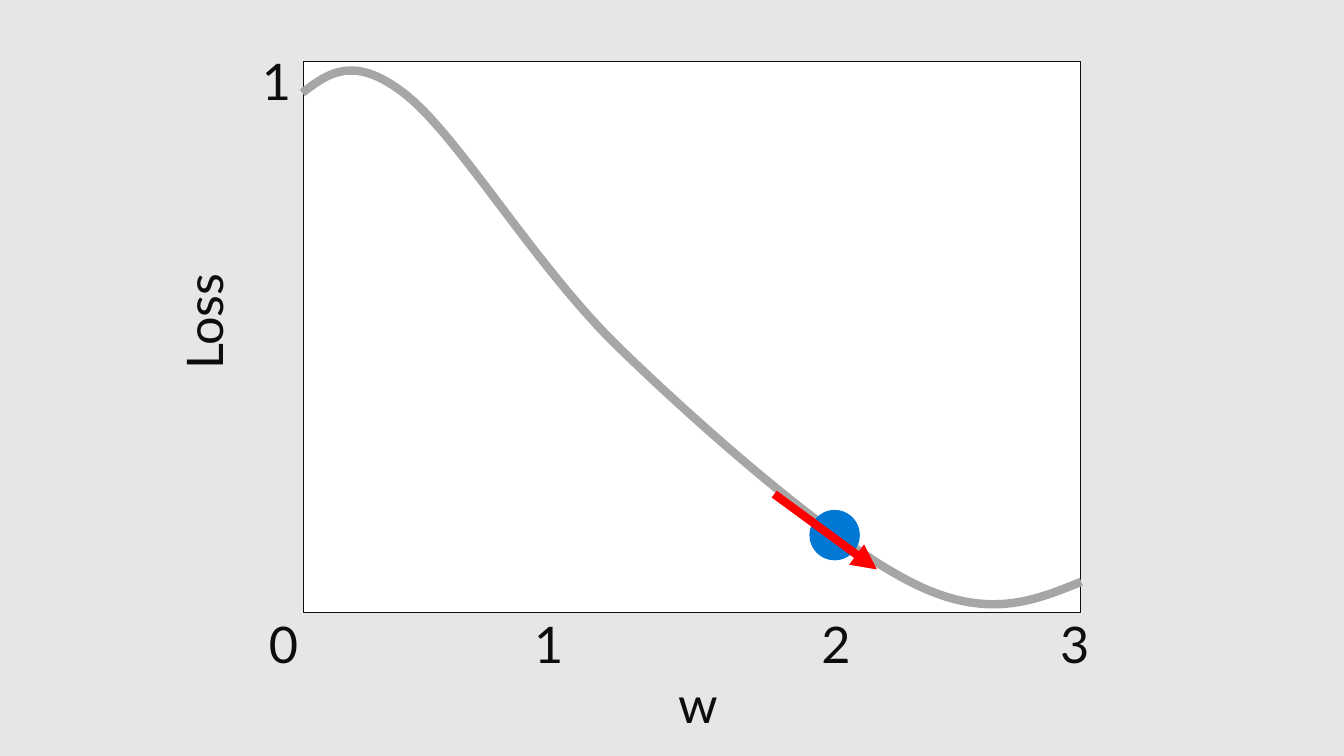
from dataclasses import dataclass
from lxml.etree import SubElement
from pptx import Presentation
from pptx.dml.color import RGBColor
from pptx.enum.shapes import MSO_CONNECTOR as Connector, MSO_SHAPE as Preset
from pptx.enum.text import MSO_AUTO_SIZE as AutoSize
from pptx.oxml.ns import qn
from pptx.util import Cm, Pt


@dataclass(frozen=True)
class Theme:
    background: str = "E6E6E6"
    plot: str = "FFFFFF"
    ink: str = "0D0D0D"
    curve: str = "A6A6A6"
    point: str = "0078D4"
    gradient: str = "FF0000"
    font: str = "Lato"
    label_size: float = 36
    frame_width: float = 0.85
    stroke_width: float = 6


def color(value):
    return RGBColor.from_string(value)


def bezier(start, first, second, end, steps=24):
    for step in range(1, steps + 1):
        t = step / steps
        u = 1 - t
        yield tuple(
            u**3 * a + 3 * u * u * t * b + 3 * u * t * t * c + t**3 * d
            for a, b, c, d in zip(start, first, second, end)
        )


class SlideBuilder:
    def __init__(self, slide, theme):
        self.slide = slide
        self.shapes = slide.shapes
        self.theme = theme
        fill = slide.background.fill
        fill.solid()
        fill.fore_color.rgb = color(theme.background)

    def stroke(self, line, value, width):
        line.color.rgb = color(value)
        line.width = Pt(width)

    def preset(self, kind, left, top, width, height, fill, outline=None):
        shape = self.shapes.add_shape(kind, Cm(left), Cm(top), Cm(width), Cm(height))
        shape.shadow.inherit = False
        shape.fill.solid()
        shape.fill.fore_color.rgb = color(fill)
        if outline:
            self.stroke(shape.line, outline, self.theme.frame_width)
        else:
            shape.line.fill.background()

    def curve(self, knots):
        points = [
            point
            for index in range(0, len(knots) - 1, 3)
            for point in bezier(*knots[index:index + 4])
        ]
        builder = self.shapes.build_freeform(*map(Cm, knots[0]))
        builder.add_line_segments([(Cm(x), Cm(y)) for x, y in points], close=False)
        shape = builder.convert_to_shape()
        shape.shadow.inherit = False
        shape.fill.background()
        self.stroke(shape.line, self.theme.curve, self.theme.stroke_width)

    def label(self, text, left, top, width=0.69, rotation=0):
        box = self.shapes.add_textbox(Cm(left), Cm(top), Cm(width), Cm(1.55))
        box.rotation = rotation
        frame = box.text_frame
        frame.margin_left = frame.margin_right = 0
        frame.margin_top = frame.margin_bottom = 0
        frame.word_wrap = False
        frame.auto_size = AutoSize.SHAPE_TO_FIT_TEXT
        frame.text = text
        font = frame.paragraphs[0].runs[0].font
        font.name = self.theme.font
        font.size = Pt(self.theme.label_size)
        font.color.rgb = color(self.theme.ink)

    def arrow(self, start, end):
        connector = self.shapes.add_connector(
            Connector.STRAIGHT, *map(Cm, start), *map(Cm, end)
        )
        self.stroke(connector.line, self.theme.gradient, self.theme.stroke_width)
        properties = connector._element.spPr
        SubElement(properties.find(qn("a:ln")), qn("a:tailEnd"), type="triangle")
        SubElement(properties, qn("a:effectLst"))


LOSS_KNOTS = [
    (7.62, 2.34), (8.28, 1.83), (8.94, 1.35),
    (10.26, 2.41), (11.61, 3.51), (13.49, 6.71),
    (15.6, 8.76), (17.7, 10.8), (20.98, 13.67),
    (22.94, 14.66), (24.87, 15.65), (26.06, 15.14),
    (27.25, 14.66),
]
WEIGHT_TICKS = {"0": 6.78, "1": 13.46, "2": 20.7, "3": 26.72}


def main():
    presentation = Presentation()
    presentation.slide_width = Cm(33.87)
    presentation.slide_height = Cm(19.05)
    theme = Theme()
    slide = presentation.slides.add_slide(presentation.slide_layouts[6])
    builder = SlideBuilder(slide, theme)

    builder.preset(Preset.RECTANGLE, 7.65, 1.55, 19.58, 13.89, theme.plot, theme.ink)
    builder.curve(LOSS_KNOTS)
    builder.label("1", 6.6, 1.27)
    builder.preset(Preset.OVAL, 20.4, 12.85, 1.27, 1.27, theme.point)
    for text, left in WEIGHT_TICKS.items():
        builder.label(text, left, 15.44)
    builder.label("Loss", 3.91, 7.32, width=2.44, rotation=270)
    builder.label("w", 17.09, 16.97, width=0.97)
    builder.arrow((19.51, 12.45), (22.1, 14.35))

    presentation.save("out.pptx")


if __name__ == "__main__":
    main()
